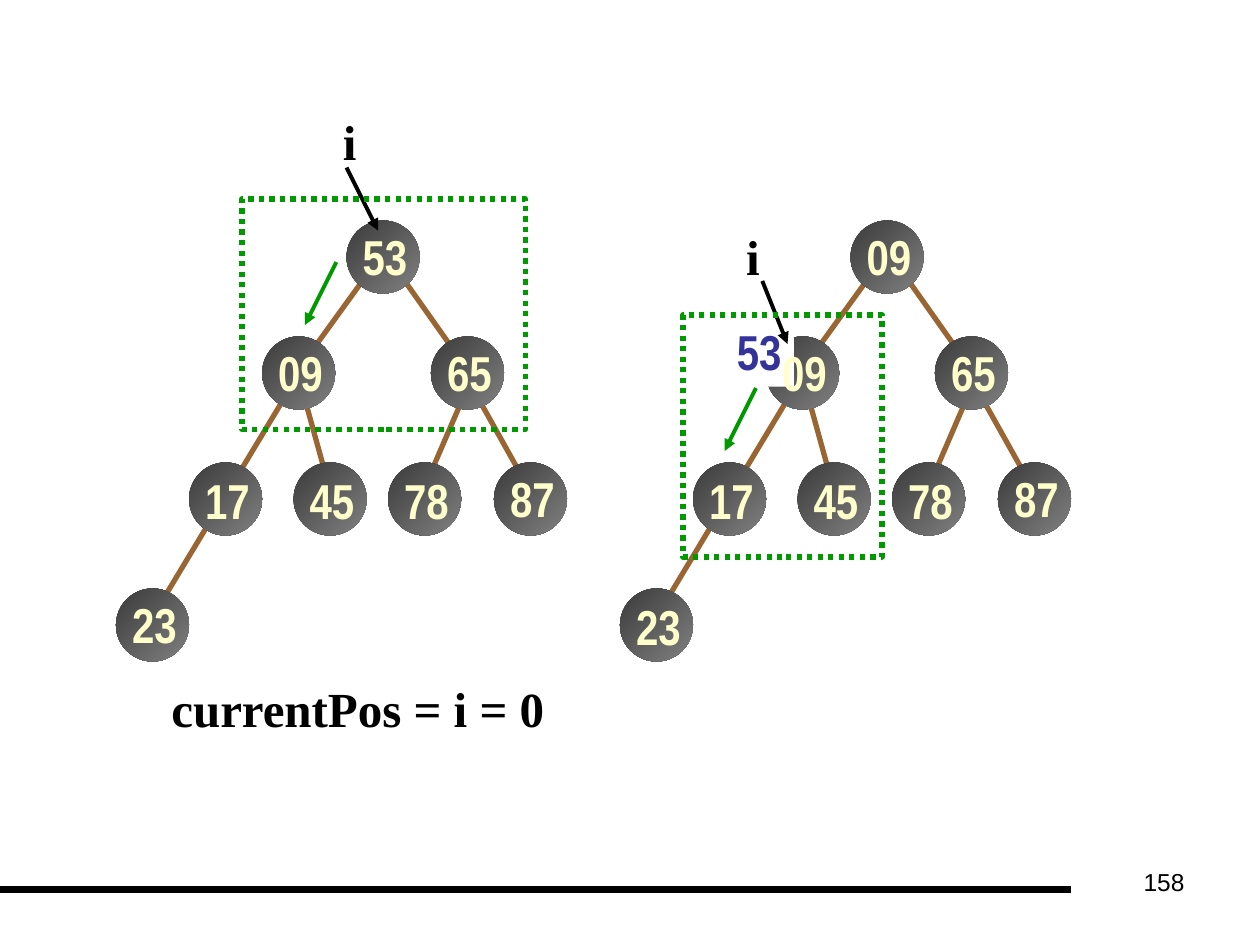
from lxml.etree import SubElement
from pptx import Presentation
from pptx.dml.color import RGBColor
from pptx.enum.dml import MSO_LINE
from pptx.enum.shapes import MSO_CONNECTOR, MSO_SHAPE
from pptx.enum.text import MSO_ANCHOR, MSO_AUTO_SIZE, PP_ALIGN
from pptx.oxml.ns import qn
from pptx.util import Inches, Pt

BLACK, GREEN, BROWN = "000000", "009900", "996633"
CREAM, NAVY, WHITE = "FFFFCC", "333399", "FFFFFF"
SERIF, NARROW = "Times New Roman", "Arial Narrow"
SIZE = 0.58
SHIFT = 4

EDGES = [
    (3.75, 3.08, 4.17, 3.83),
    (3.67, 3.17, 3.42, 3.75),
    (3.17, 2.17, 3.58, 2.75),
    (2.42, 3.17, 2.58, 3.75),
    (2.92, 2.17, 2.5, 2.75),
    (2.25, 3.17, 1.25, 4.83),
]
NODES = [
    (2.75, 1.75), (1.5, 3.67), (2.33, 3.67), (3.08, 3.67),
    (3.92, 3.67), (0.92, 4.67), (2.08, 2.67), (3.42, 2.67),
]
FIRST = ["53", "17", "45", "78", "87", "23", "09", "65"]
SECOND = ["09", "17", "45", "78", "87", "23", "09", "65"]
LOW = ["17", "45", "78"]


def color(code):
    return RGBColor.from_string(code)


def box(x, y, w, h):
    return Inches(x), Inches(y), Inches(w), Inches(h)


def add_line(slide, ends, code, width, arrow=False):
    x1, y1, x2, y2 = map(Inches, ends)
    line = slide.shapes.add_connector(MSO_CONNECTOR.STRAIGHT, x1, y1, x2, y2)
    line.line.color.rgb = color(code)
    line.line.width = Pt(width)
    if arrow:
        SubElement(line.line._get_or_add_ln(), qn("a:tailEnd"), type="triangle")
    SubElement(line._element.spPr, qn("a:effectLst"))


def add_node(slide, x, y):
    node = slide.shapes.add_shape(MSO_SHAPE.OVAL, *box(x, y, SIZE, SIZE))
    node.shadow.inherit = False
    node.line.fill.background()
    node.fill.gradient()
    node.fill.gradient_angle = 315
    for stop, code in zip(node.fill.gradient_stops, ("3B3B3B", "808080")):
        stop.color.rgb = color(code)


def add_text(slide, text, x, y, w, code, font, fill=None):
    label = slide.shapes.add_textbox(*box(x, y, w, 0.57))
    if fill:
        label.fill.solid()
        label.fill.fore_color.rgb = color(fill)
    frame = label.text_frame
    frame.margin_left = frame.margin_right = Inches(0.05)
    frame.word_wrap = False
    frame.auto_size = MSO_AUTO_SIZE.SHAPE_TO_FIT_TEXT
    frame.vertical_anchor = MSO_ANCHOR.MIDDLE
    para = frame.paragraphs[0]
    para.alignment = PP_ALIGN.CENTER
    add_run(para, text, 28, font, code, True)


def add_run(para, text, size, font, code, bold):
    run = para.add_run()
    run.text = text
    run.font.size = Pt(size)
    run.font.name = font
    run.font.bold = bold
    run.font.color.rgb = color(code)


def add_frame(slide, x, y, w, h):
    frame = slide.shapes.add_shape(MSO_SHAPE.RECTANGLE, *box(x, y, w, h))
    frame.shadow.inherit = False
    frame.fill.background()
    frame.line.color.rgb = color(GREEN)
    frame.line.width = Pt(3)
    frame.line.dash_style = MSO_LINE.ROUND_DOT


def add_tree(slide, shift):
    for x1, y1, x2, y2 in EDGES:
        add_line(slide, (x1 + shift, y1, x2 + shift, y2), BROWN, 3)
    for x, y in NODES:
        add_node(slide, x + shift, y)


def add_keys(slide, keys, shift, low):
    for key, (x, y) in zip(keys, NODES):
        drop = 0.01 if key in low else 0
        add_text(slide, key, x + shift + 0.03, y + drop, 0.55, CREAM, NARROW)


def add_page(slide):
    add_line(slide, (0, 7.06, 8.5, 7.06), BLACK, 4.5)
    frame = slide.shapes.add_textbox(*box(7.17, 6.83, 2.33, 0.52)).text_frame
    frame.word_wrap = True
    para = frame.paragraphs[0]
    para.alignment = PP_ALIGN.RIGHT
    add_run(para, "158", 14, "Arial", BLACK, False)


def main():
    deck = Presentation()
    deck.slide_width, deck.slide_height = Inches(10), Inches(7.5)
    slide = deck.slides.add_slide(deck.slide_layouts[6])
    add_page(slide)
    add_text(slide, "currentPos = i = 0", 1.26, 5.33, 3.16, BLACK, SERIF)
    add_tree(slide, 0)
    add_tree(slide, SHIFT)
    add_text(slide, "53", 5.75, 2.5, 0.55, NAVY, NARROW, WHITE)
    add_keys(slide, FIRST, 0, LOW)
    add_line(slide, (2.75, 1.33, 3, 1.83), BLACK, 2.25, True)
    add_text(slide, "i", 2.62, 0.83, 0.31, BLACK, SERIF)
    add_frame(slide, 1.92, 1.58, 2.25, 1.83)
    add_line(slide, (2.67, 2.08, 2.42, 2.58), GREEN, 2.25, True)
    add_keys(slide, SECOND, SHIFT, LOW + ["23"])
    add_line(slide, (6.05, 2.23, 6.25, 2.73), BLACK, 2.25, True)
    add_text(slide, "i", 5.82, 1.75, 0.31, BLACK, SERIF)
    add_frame(slide, 5.42, 2.5, 1.58, 1.92)
    add_line(slide, (6, 3.08, 5.75, 3.58), GREEN, 2.25, True)
    deck.save("out.pptx")


if __name__ == "__main__":
    main()
